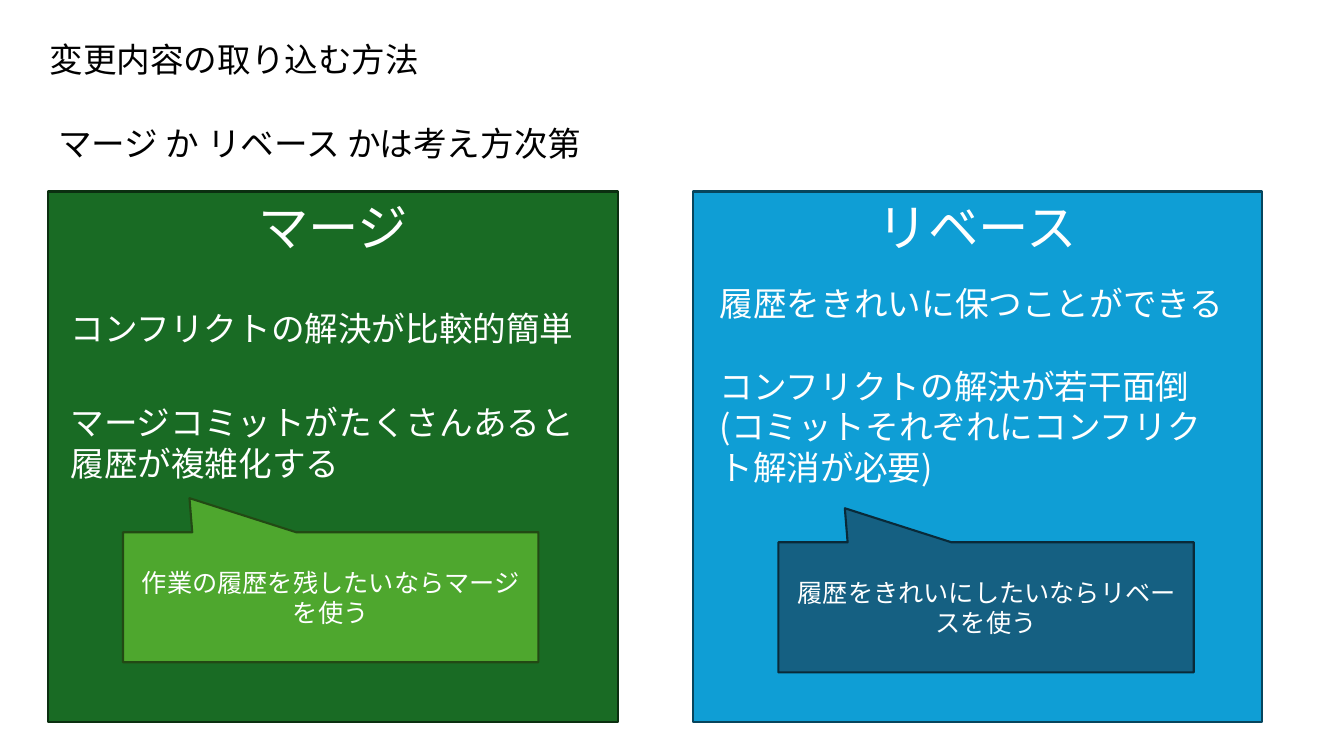
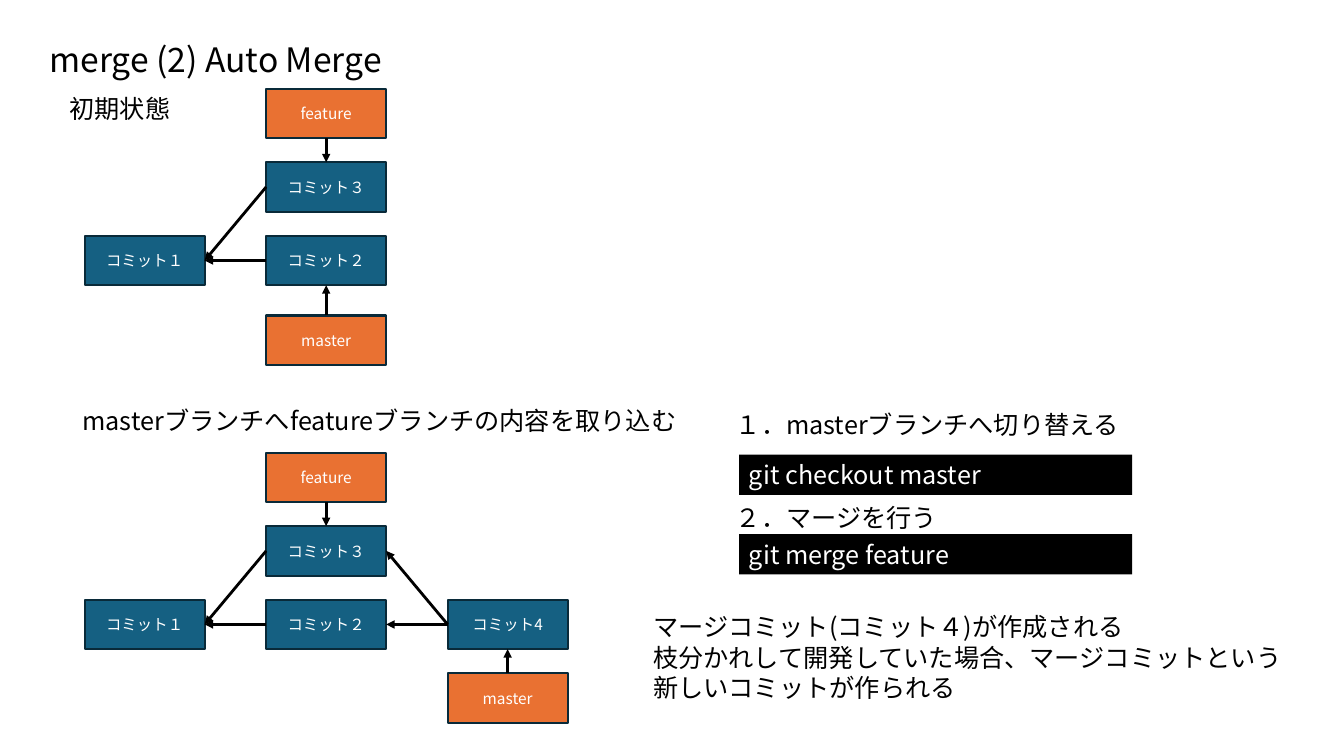
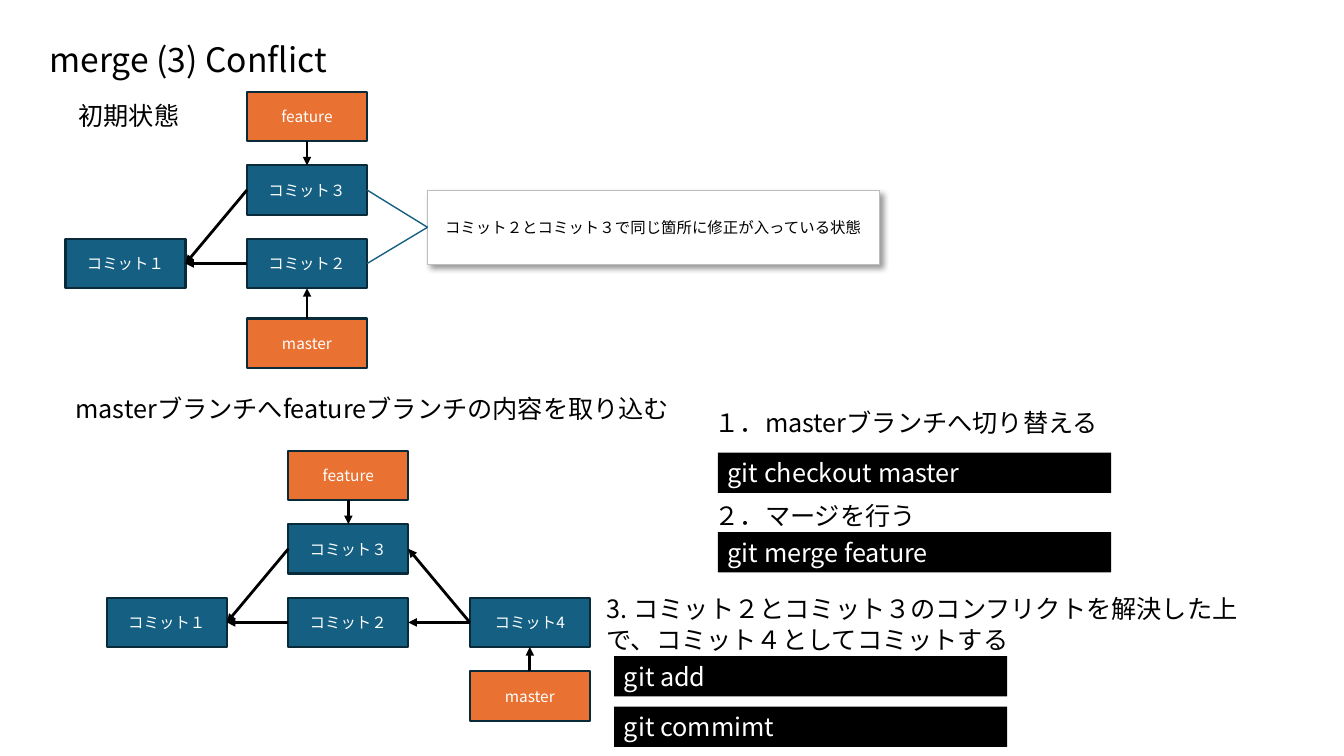
"""Builds three slides on merging and rebasing branches."""
from lxml.etree import SubElement
from pptx import Presentation
from pptx.dml.color import RGBColor
from pptx.enum.shapes import MSO_CONNECTOR, MSO_SHAPE
from pptx.enum.text import MSO_ANCHOR, PP_ALIGN
from pptx.oxml.ns import qn
from pptx.util import Inches, Pt

FONT = "Noto Sans CJK JP"
COLORS = {
    "black": "000000", "white": "FFFFFF", "gray": "BDBDBD",
    "commit": "156082", "commit_edge": "092A39", "branch": "E97132",
    "merge": "196B24", "merge_edge": "0B2F10", "merge_note": "4EA72E", "merge_note_edge": "224914",
    "rebase": "0F9ED5", "rebase_edge": "07455D",
}
TOP, LEFT, BOTTOM, RIGHT = range(4)


def add_box(page, at, text, size=18, color="black", fill=None, edge=None, edge_width=1.5,
            kind=MSO_SHAPE.RECTANGLE, align=PP_ALIGN.LEFT, anchor=MSO_ANCHOR.TOP, title=False):
    """Adds a title, a text box or a filled shape and writes its text."""
    place = [Inches(length) for length in at]
    if title:
        box = page.shapes.title
        box.left, box.top, box.width, box.height = place
    elif fill:
        box = page.shapes.add_shape(kind, *place)
        box.shadow.inherit = False
        box.fill.solid()
        box.fill.fore_color.rgb = RGBColor.from_string(COLORS[fill])
        if edge:
            box.line.color.rgb = RGBColor.from_string(COLORS[edge])
            box.line.width = Pt(edge_width)
        else:
            box.line.fill.background()
    else:
        box = page.shapes.add_textbox(*place)
    frame = box.text_frame
    frame.word_wrap = True
    frame.vertical_anchor = anchor
    for index, line in enumerate(text.split("\n")):
        para = frame.add_paragraph() if index else frame.paragraphs[0]
        para.alignment = align
        span = para.add_run()
        span.text = line
        span.font.size = Pt(size)
        span.font.name = FONT
        span.font.color.rgb = RGBColor.from_string(COLORS[color])
        SubElement(span.font._element, qn("a:ea"), typeface=FONT)
    return box


def add_link(page, start, start_side, end, end_side, color="black", width=2, arrow=True):
    """Joins two boxes with a straight line."""
    link = page.shapes.add_connector(MSO_CONNECTOR.STRAIGHT, Inches(0), Inches(0), Inches(0), Inches(0))
    link.begin_connect(start, start_side)
    link.end_connect(end, end_side)
    link.line.color.rgb = RGBColor.from_string(COLORS[color])
    link.line.width = Pt(width)
    if arrow:
        SubElement(link.line._get_or_add_ln(), qn("a:tailEnd"), type="triangle")
    SubElement(link._element.spPr, qn("a:effectLst"))


deck = Presentation()
deck.slide_width, deck.slide_height = Inches(13.33), Inches(7.5)
pages = []
for heading in ["変更内容の取り込む方法", "merge (2) Auto Merge", "merge (3) Conflict"]:
    page = deck.slides.add_slide(deck.slide_layouts[5])
    add_box(page, (0.39, 0.34, 12, 0.5), heading, 24, title=True)
    pages.append(page)
methods_page, auto_page, conflict_page = pages

add_box(methods_page, (0.48, 1.17, 5.59, 0.5), "マージ か リベース かは考え方次第", 24)
methods = [
    (0.48, "マージ", "merge", "merge_edge",
     [((0.6, 3.01, 5.25, 0.5), "コンフリクトの解決が比較的簡単"),
      ((0.6, 3.94, 5.42, 0.91), "マージコミットがたくさんあると履歴が複雑化する")],
     (1.22, 5.28), "作業の履歴を残したいならマージを使う", "merge_note", "merge_note_edge"),
    (6.87, "リベース", "rebase", "rebase_edge",
     [((7.04, 2.76, 5.25, 0.5), "履歴をきれいに保つことができる"),
      ((7.04, 3.58, 4.98, 1.31), "コンフリクトの解決が若干面倒\n(コミットそれぞれにコンフリクト解消が必要)")],
     (7.72, 5.38), "履歴をきれいにしたいならリベースを使う", "commit", "commit_edge"),
]
for left, name, fill, edge, points, note_place, advice, note_fill, note_edge in methods:
    add_box(methods_page, (left, 1.9, 5.65, 5.26), name, 36, "white", fill, edge, align=PP_ALIGN.CENTER)
    for at, point in points:
        add_box(methods_page, at, point, 24, "white")
    note = add_box(methods_page, (*note_place, 4.12, 1.29), advice, 18, "white", note_fill, note_edge,
                   kind=MSO_SHAPE.RECTANGULAR_CALLOUT, align=PP_ALIGN.CENTER, anchor=MSO_ANCHOR.MIDDLE)
    note.adjustments[0], note.adjustments[1] = -0.34, -0.762

COLUMN_STEP, ROW_STEP = 1.8, 0.73
shared_nodes = [("コミット１", 0, 2 * ROW_STEP), ("コミット２", 1, 2 * ROW_STEP),
                ("コミット３", 1, ROW_STEP), ("feature", 1, 0)]
shared_links = [("コミット２", LEFT, "コミット１", RIGHT), ("コミット３", LEFT, "コミット１", RIGHT),
                ("feature", BOTTOM, "コミット３", TOP)]
before_nodes = shared_nodes + [("master", 1, 2.25)]
before_links = shared_links + [("master", TOP, "コミット２", BOTTOM)]
after_nodes = shared_nodes + [("コミット4", 2, 2 * ROW_STEP), ("master", 2, 3 * ROW_STEP)]
after_links = shared_links + [("master", TOP, "コミット4", BOTTOM), ("コミット4", LEFT, "コミット２", RIGHT),
                              ("コミット4", LEFT, "コミット３", RIGHT)]
graphs = [
    (auto_page, 0.84, 0.88, before_nodes, before_links),
    (auto_page, 0.84, 4.49, after_nodes, after_links),
    (conflict_page, 1.06, 4.47, after_nodes, after_links),
    (conflict_page, 0.65, 0.91, before_nodes, before_links),
]
for page, left, top, nodes, links in graphs:
    boxes = {}
    for name, column, drop in nodes:
        fill = "commit" if name.startswith("コミット") else "branch"
        boxes[name] = add_box(page, (left + column * COLUMN_STEP, top + drop, 1.19, 0.49), name, 11, "white",
                              fill, "commit_edge", align=PP_ALIGN.CENTER, anchor=MSO_ANCHOR.MIDDLE)
    for start, start_side, end, end_side in links:
        add_link(page, boxes[start], start_side, boxes[end], end_side)

state = add_box(conflict_page, (4.24, 1.89, 4.48, 0.73), "コミット２とコミット３で同じ箇所に修正が入っている状態", 11,
                "black", "white", "gray", 0.75, align=PP_ALIGN.CENTER, anchor=MSO_ANCHOR.MIDDLE)
shadow = SubElement(state._element.spPr.find(qn("a:effectLst")), qn("a:outerShdw"), blurRad=str(Pt(4)),
                    dist=str(Pt(3)), dir="2700000", algn="tl", rotWithShape="0")
shade = SubElement(shadow, qn("a:srgbClr"), val=COLORS["black"])
SubElement(shade, qn("a:alpha"), val="40000")
for name in ["コミット３", "コミット２"]:
    add_link(conflict_page, boxes[name], RIGHT, state, LEFT, "commit", 1, arrow=False)

for page, state_at, goal_at, left, top in [
    (auto_page, (0.59, 0.88), (0.72, 3.97), 7.2, 4.01),
    (conflict_page, (0.68, 0.95), (0.65, 3.85), 6.99, 3.99),
]:
    add_box(page, (*state_at, 1.25, 0.4), "初期状態")
    add_box(page, (*goal_at, 6.67, 0.4), "masterブランチへfeatureブランチの内容を取り込む")
    add_box(page, (left, top, 4.5, 0.4), "１．masterブランチへ切り替える")
    add_box(page, (left, top + 0.92, 4.5, 0.4), "２．マージを行う")
    for command, drop in [("git checkout master", 0.5), ("git merge feature", 1.29)]:
        add_box(page, (left + 0.13, top + drop, 3.9, 0.4), command, 18, "white", "black")

add_box(auto_page, (6.38, 6.02, 6.67, 1.01),
        "マージコミット(コミット４)が作成される\n枝分かれして開発していた場合、マージコミットという新しいコミットが作られる")
add_box(conflict_page, (5.92, 5.84, 6.67, 0.71),
        "3. コミット２とコミット３のコンフリクトを解決した上で、コミット４としてコミットする")
for command, top in [("git add", 6.51), ("git commimt", 7.01)]:
    add_box(conflict_page, (6.09, top, 3.9, 0.4), command, 18, "white", "black")

deck.save("out.pptx")
